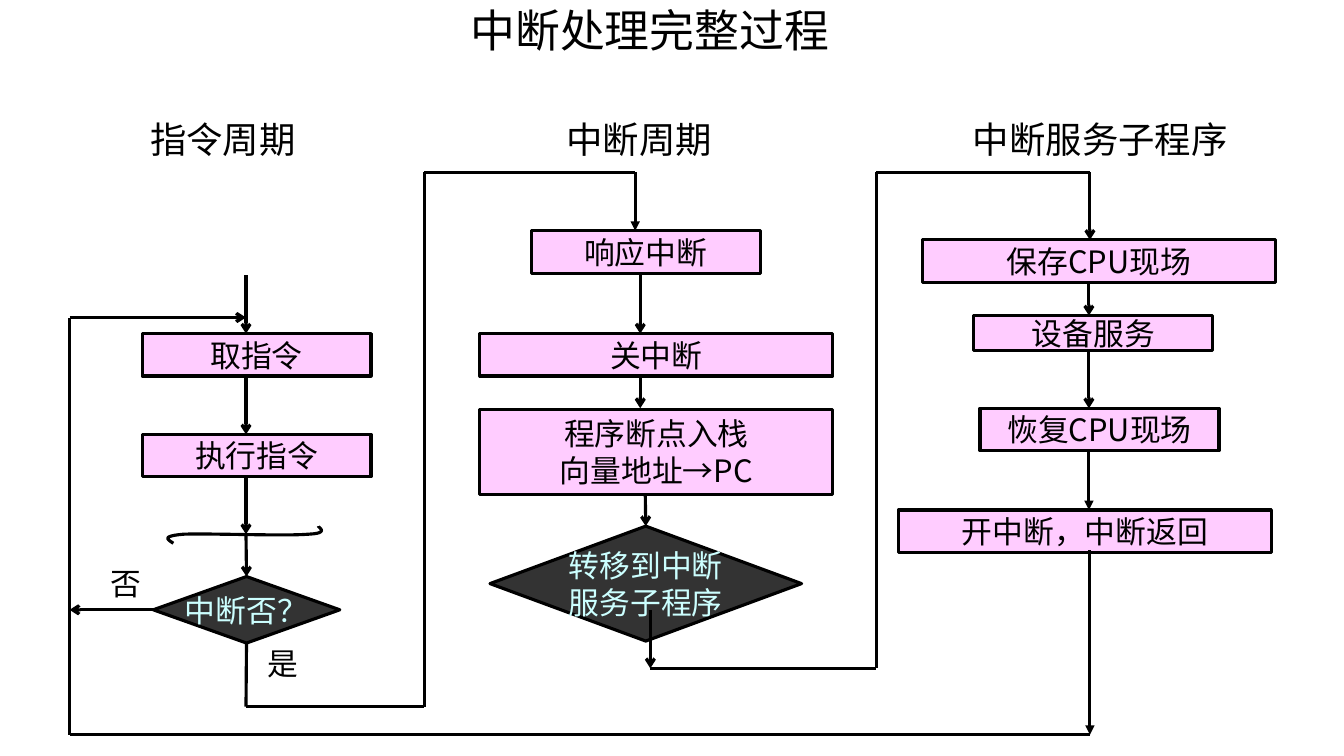
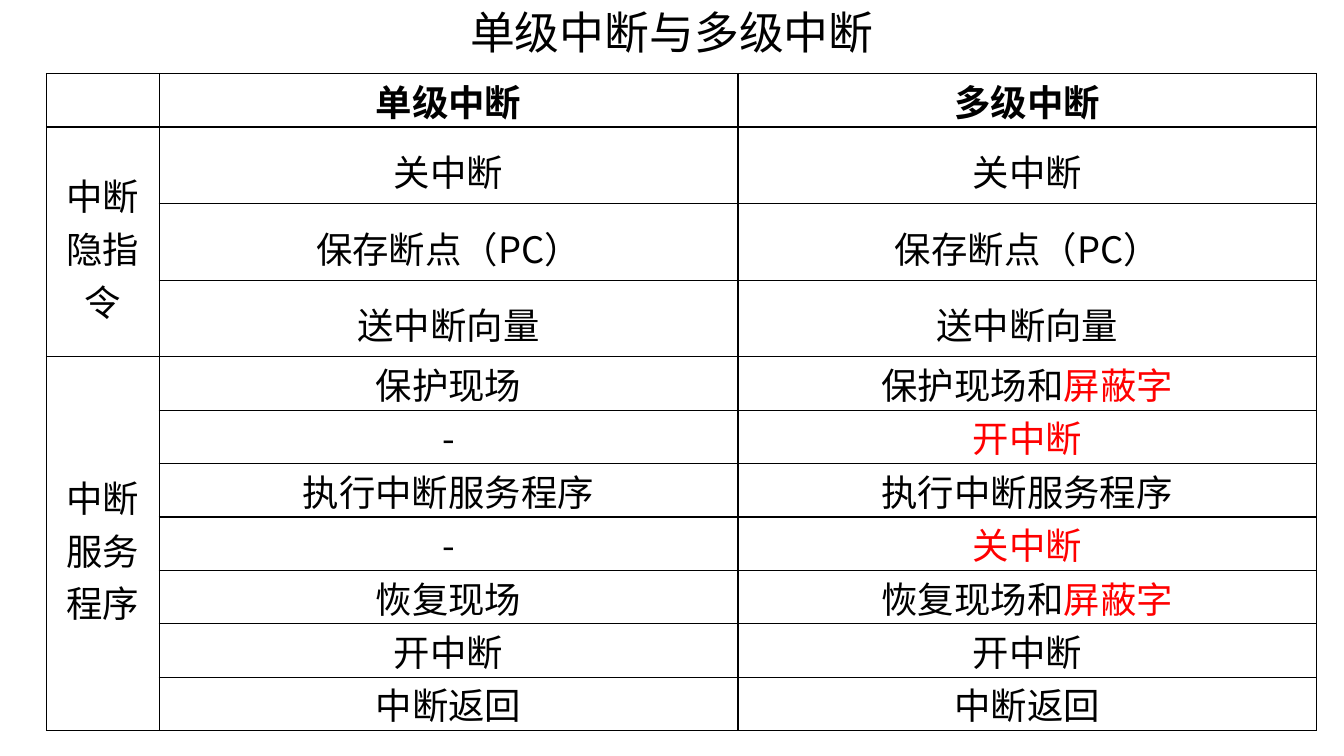
from itertools import pairwise

from lxml import etree
from pptx import Presentation
from pptx.dml.color import RGBColor
from pptx.enum.shapes import MSO_CONNECTOR, MSO_SHAPE
from pptx.enum.text import MSO_ANCHOR, MSO_AUTO_SIZE, PP_ALIGN
from pptx.oxml.ns import qn
from pptx.util import Inches, Pt

COLORS = {"ink": "000000", "step": "FFCCFF", "decision": "333333",
          "decision_text": "CCFFFF", "accent": "FF0000"}
FONT = "Noto Sans CJK SC"
LINE_WIDTH = Pt(2.25)
STEP_H = 0.42

# Slide 1: texts as (text, left, top, width, height, size)
LABELS = [
    ("指令周期", 1.39, 1.11, 1.8, 0.54, 26),
    ("中断周期", 5.52, 1.11, 1.68, 0.54, 26),
    ("中断服务子程序", 9.55, 1.11, 2.83, 0.54, 26),
    ("否", 1, 5.55, 0.62, 0.47, 22),
    ("是", 2.55, 6.35, 0.62, 0.47, 22),
]
# (lines, left, top, width, height)
STEPS = [
    (["取指令"], 1.41, 3.31, 2.27, STEP_H),
    (["执行指令"], 1.41, 4.31, 2.27, STEP_H),
    (["响应中断"], 5.27, 2.29, 2.27, STEP_H),
    (["关中断"], 4.76, 3.31, 3.5, STEP_H),
    (["程序断点入栈", "向量地址→PC"], 4.76, 4.06, 3.5, 0.85),
    (["保存CPU现场"], 9.15, 2.38, 3.5, STEP_H),
    (["设备服务"], 9.66, 3.13, 2.37, 0.35),
    (["恢复CPU现场"], 9.72, 4.05, 2.37, STEP_H),
    (["开中断，中断返回"], 8.91, 5.06, 3.7, STEP_H),
]
DECISIONS = [
    (["中断否？"], 1.52, 5.72, 1.85, 0.66),
    (["转移到中断", "服务子程序"], 4.86, 5.22, 3.09, 1.14),
]
# Routes through several points; the head sits on the last segment
ROUTES = [
    ("arrow", [(2.44, 2.73), (2.44, 3.31)]),
    ("arrow", [(2.44, 3.73), (2.44, 4.31)]),
    ("arrow", [(2.44, 4.72), (2.44, 5.3)]),
    ("arrow", [(2.44, 5.3), (2.44, 5.72)]),
    ("arrow", [(1.52, 6.05), (0.69, 6.05)]),
    ("triangle", [(2.44, 6.38), (2.44, 7.01), (4.21, 7.01), (4.21, 1.71),
                  (6.3, 1.71), (6.3, 2.29)]),
    ("arrow", [(6.35, 2.73), (6.35, 3.31)]),
    ("arrow", [(6.35, 3.73), (6.35, 4.05)]),
    ("arrow", [(6.4, 4.91), (6.4, 5.22)]),
    ("arrow", [(6.45, 6.05), (6.45, 6.63)]),
    ("arrow", [(6.45, 6.63), (8.69, 6.63), (8.69, 1.71), (10.81, 1.71),
               (10.81, 2.38)]),
    ("arrow", [(10.8, 2.79), (10.8, 3.13)]),
    ("arrow", [(10.8, 3.47), (10.8, 4.05)]),
    ("triangle", [(10.8, 4.48), (10.8, 5.06)]),
    ("triangle", [(10.81, 5.46), (10.81, 7.29)]),
    ("arrow", [(10.81, 7.29), (0.69, 7.29), (0.69, 6.05), (0.69, 3.15),
               (2.44, 3.15)]),
]
WAVE = [  # Bezier curves, four points each
    [(1.72, 5.39), (1.66, 5.35), (1.6, 5.32), (1.82, 5.3)],
    [(1.82, 5.3), (2.05, 5.29), (2.84, 5.32), (3.06, 5.3)],
    [(3.06, 5.3), (3.28, 5.29), (3.15, 5.23), (3.16, 5.22)],
]

# Slide 2: the part of a text after "|" is accented
HEADER = ("单级中断", "多级中断")
GROUPS = [
    ("中断隐指令", 0.76, [
        ("关中断", "关中断"),
        ("保存断点（PC）", "保存断点（PC）"),
        ("送中断向量", "送中断向量"),
    ]),
    ("中断服务程序", 0.53, [
        ("保护现场", "保护现场和|屏蔽字"),
        ("-", "|开中断"),
        ("执行中断服务程序", "执行中断服务程序"),
        ("-", "|关中断"),
        ("恢复现场", "恢复现场和|屏蔽字"),
        ("开中断", "开中断"),
        ("中断返回", "中断返回"),
    ]),
]
COL_WIDTHS = (1.12, 5.74, 5.74)
HEADER_H = 0.53
ROOMY_TOP = 0.11


def rgb(name):
    return RGBColor.from_string(COLORS[name])


def add_run(p, text, size, color="ink", bold=False):
    r = p.add_run()
    r.text = text
    for name, value in {"name": FONT, "size": Pt(size), "bold": bold}.items():
        setattr(r.font, name, value)
    r.font.color.rgb = rgb(color)
    ea = etree.Element(qn("a:ea"), typeface=FONT)
    r.font._element.find(qn("a:latin")).addnext(ea)


def add_text(s, text, x, y, w, h, size, align=PP_ALIGN.LEFT):
    tf = s.shapes.add_textbox(*map(Inches, (x, y, w, h))).text_frame
    tf.word_wrap = True
    tf.auto_size = MSO_AUTO_SIZE.SHAPE_TO_FIT_TEXT
    p = tf.paragraphs[0]
    p.alignment = align
    add_run(p, text, size)


def new_slide(prs, title, x, y):
    s = prs.slides.add_slide(prs.slide_layouts[6])
    add_text(s, title, x, y, 8.49, 0.64, 32, PP_ALIGN.CENTER)
    return s


def style_line(line):
    line.color.rgb = rgb("ink")
    line.width = LINE_WIDTH


def add_box(s, kind, lines, x, y, w, h, fill, color):
    sp = s.shapes.add_shape(kind, *map(Inches, (x, y, w, h)))
    sp.shadow.inherit = False
    sp.fill.solid()
    sp.fill.fore_color.rgb = rgb(fill)
    style_line(sp.line)
    tf = sp.text_frame
    tf.word_wrap = False
    tf.vertical_anchor = MSO_ANCHOR.MIDDLE
    for i, text in enumerate(lines):
        p = tf.add_paragraph() if i else tf.paragraphs[0]
        p.alignment = PP_ALIGN.CENTER
        add_run(p, text, 22, color)
    return sp


def find_site(boxes, point):
    """Return (box, side index) whose side middle lies at point, or None."""
    px, py = map(Inches, point)
    for sp in boxes:
        cx, cy = sp.left + sp.width // 2, sp.top + sp.height // 2
        sides = [(cx, sp.top), (sp.left, cy),
                 (cx, sp.top + sp.height), (sp.left + sp.width, cy)]
        for i, (x, y) in enumerate(sides):
            if max(abs(x - px), abs(y - py)) < Inches(0.02):
                return sp, i
    return None


def add_segment(s, boxes, start, end, head=None):
    c = s.shapes.add_connector(MSO_CONNECTOR.STRAIGHT,
                               *map(Inches, (*start, *end)))
    style_line(c.line)
    if head:
        etree.SubElement(c.line._get_or_add_ln(), qn("a:tailEnd"), type=head)
    etree.SubElement(c._element.spPr, qn("a:effectLst"))
    for connect, point in ((c.begin_connect, start), (c.end_connect, end)):
        site = find_site(boxes, point)
        if site:
            connect(*site)


def bezier(curve, t):
    weights = ((1 - t) ** 3, 3 * t * (1 - t) ** 2, 3 * t * t * (1 - t), t ** 3)
    return tuple(Inches(sum(w * v for w, v in zip(weights, axis)))
                 for axis in zip(*curve))


def add_wave(s, steps=12):
    points = [bezier(c, i / steps) for c in WAVE for i in range(1, steps + 1)]
    builder = s.shapes.build_freeform(*bezier(WAVE[0], 0))
    builder.add_line_segments(points, close=False)
    sp = builder.convert_to_shape()
    sp.shadow.inherit = False
    sp.fill.background()
    style_line(sp.line)


def build_flow(prs):
    s = new_slide(prs, "中断处理完整过程", 2.2, -0.02)
    boxes = [add_box(s, MSO_SHAPE.FLOWCHART_PROCESS, *step, "step", "ink")
             for step in STEPS]
    boxes += [add_box(s, MSO_SHAPE.FLOWCHART_DECISION, *decision,
                      "decision", "decision_text") for decision in DECISIONS]
    add_wave(s)
    for head, points in ROUTES:
        segments = list(pairwise(points))
        for i, (start, end) in enumerate(segments, 1):
            add_segment(s, boxes, start, end,
                        head if i == len(segments) else None)
    for label in LABELS:
        add_text(s, *label)


def border_cell(cell):
    tcPr = cell._tc.get_or_add_tcPr()
    for i, side in enumerate(("lnL", "lnR", "lnT", "lnB")):
        ln = etree.Element(qn(f"a:{side}"), w=str(Pt(1)))
        fill = etree.SubElement(ln, qn("a:solidFill"))
        etree.SubElement(fill, qn("a:srgbClr"), val=COLORS["ink"])
        tcPr.insert(i, ln)


def fill_cell(cell, text, top=0, bold=False):
    cell.vertical_anchor = MSO_ANCHOR.MIDDLE
    cell.margin_top, cell.margin_bottom = Inches(top), 0
    p = cell.text_frame.paragraphs[0]
    p.alignment = PP_ALIGN.CENTER
    plain, _, accented = text.partition("|")
    for part, color in ((plain, "ink"), (accented, "accent")):
        if part:
            add_run(p, part, 26, color, bold)


def build_comparison(prs):
    s = new_slide(prs, "单级中断与多级中断", 2.42, 0)
    heights = [HEADER_H] + [h for _, h, rows in GROUPS for _ in rows]
    table = s.shapes.add_table(
        len(heights), len(COL_WIDTHS), Inches(0.46), Inches(0.73),
        Inches(sum(COL_WIDTHS)), Inches(sum(heights))).table
    table.first_row = table.horz_banding = False
    for col, width in zip(table.columns, COL_WIDTHS):
        col.width = Inches(width)
    for row, height in zip(table.rows, heights):
        row.height = Inches(height)
    for cell in table.iter_cells():
        cell.fill.background()
        border_cell(cell)

    fill_cell(table.cell(0, 0), "")
    for c, text in enumerate(HEADER, 1):
        fill_cell(table.cell(0, c), text, bold=True)
    first = 1
    for name, height, rows in GROUPS:
        head = table.cell(first, 0)
        head.merge(table.cell(first + len(rows) - 1, 0))
        fill_cell(head, name, ROOMY_TOP)
        top = ROOMY_TOP if height > HEADER_H else 0
        for r, texts in enumerate(rows, first):
            for c, text in enumerate(texts, 1):
                fill_cell(table.cell(r, c), text, top)
        first += len(rows)


def main():
    prs = Presentation()
    prs.slide_width, prs.slide_height = Inches(13.33), Inches(7.5)
    build_flow(prs)
    build_comparison(prs)
    prs.save("out.pptx")


if __name__ == "__main__":
    main()
